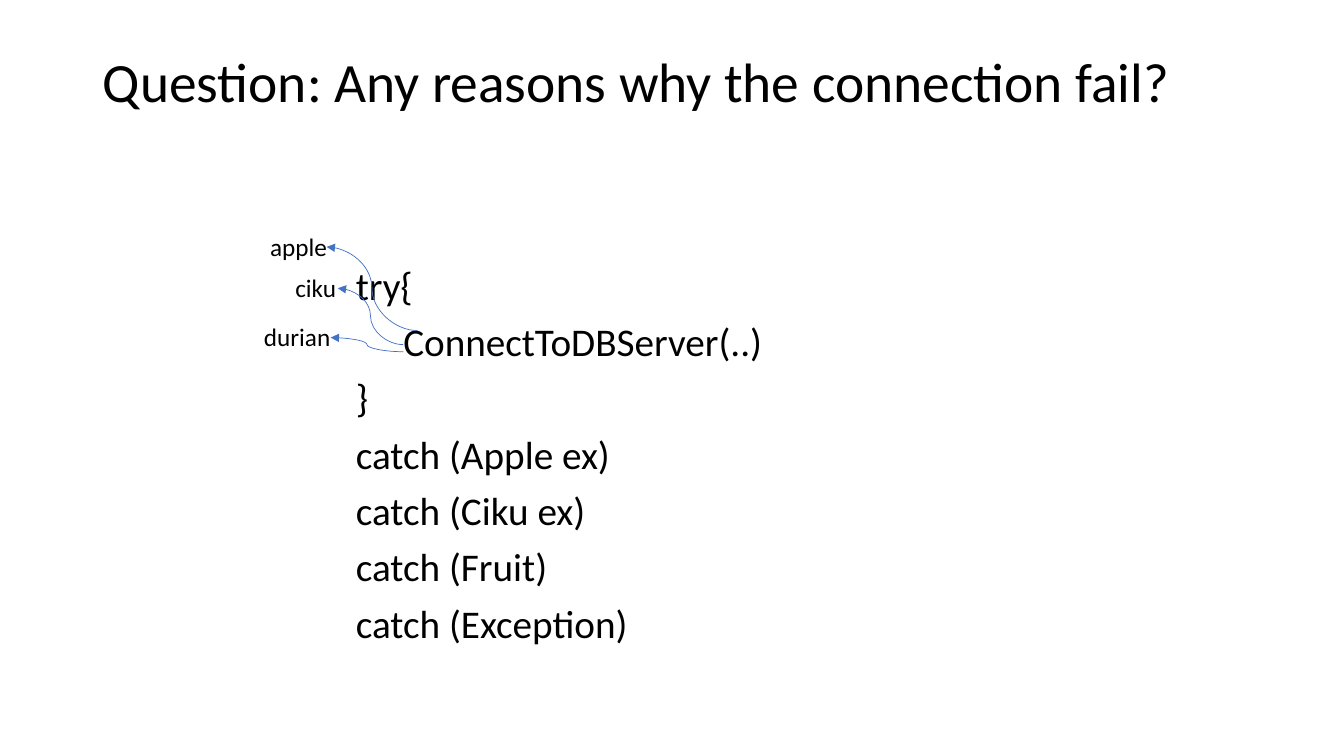
"""Build the slide that asks why a database connection may fail."""
from lxml.etree import SubElement
from pptx import Presentation
from pptx.dml.color import RGBColor
from pptx.enum.shapes import MSO_CONNECTOR
from pptx.enum.text import MSO_ANCHOR, MSO_AUTO_SIZE, PP_ALIGN
from pptx.oxml.ns import qn
from pptx.util import Inches, Pt

BLACK = RGBColor(0x00, 0x00, 0x00)
BLUE = RGBColor(0x44, 0x72, 0xC4)

CODE = [
    ("try{", 0),
    ("ConnectToDBServer(..)", 0.47),
    ("}", 0),
    ("catch (Apple ex)", 0),
    ("catch (Ciku ex)", 0),
    ("catch (Fruit)", 0),
    ("catch (Exception)", 0),
]
EXCEPTIONS = [
    ("apple", (2.58, 2.25, 0.77, 0.4), (4.14, 3.28), (3.24, 2.45)),
    ("ciku", (2.83, 2.65, 0.61, 0.4), (4, 3.42), (3.35, 2.86)),
    ("durian", (2.52, 3.14, 0.87, 0.4), (4, 3.49), (3.28, 3.35)),
]


class SlideBuilder:
    """Hold the style and the current slide."""

    font = "Calibri"
    color = BLACK

    def __init__(self, prs):
        """Add a title-only slide."""
        self.s = prs.slides.add_slide(prs.slide_layouts[5])

    def style_text(self, p, text, size, **formats):
        """Put styled text in a paragraph."""
        for name, value in formats.items():
            setattr(p, name, value)
        r = p.add_run()
        r.text = text
        for name, value in {"name": self.font, "size": Pt(size), "bold": False}.items():
            setattr(r.font, name, value)
        r.font.color.rgb = self.color

    def title(self, text, box, size):
        """Place and fill the title placeholder."""
        sp = self.s.shapes.title
        sp.left, sp.top, sp.width, sp.height = map(Inches, box)
        tf = sp.text_frame
        frame = {"word_wrap": True, "auto_size": MSO_AUTO_SIZE.NONE,
                 "vertical_anchor": MSO_ANCHOR.MIDDLE}
        for name, value in frame.items():
            setattr(tf, name, value)
        self.style_text(tf.paragraphs[0], text, size,
                        alignment=PP_ALIGN.LEFT, line_spacing=0.9)

    def code(self, lines, box, left, top, size):
        """Add the code listing, inset from the box corner."""
        tf = self.s.shapes.add_textbox(*map(Inches, box)).text_frame
        frame = {"word_wrap": True, "margin_left": Inches(left), "margin_top": Inches(top)}
        for name, value in frame.items():
            setattr(tf, name, value)
        for i, (text, indent) in enumerate(lines):
            p = tf.add_paragraph() if i else tf.paragraphs[0]
            p._p.get_or_add_pPr().set("marL", str(Inches(indent)))
            self.style_text(p, text, size, line_spacing=0.9, space_before=Pt(10))

    def label(self, text, box, size):
        """Add a one-line label."""
        tf = self.s.shapes.add_textbox(*map(Inches, box)).text_frame
        frame = {"word_wrap": False, "auto_size": MSO_AUTO_SIZE.SHAPE_TO_FIT_TEXT}
        for name, value in frame.items():
            setattr(tf, name, value)
        self.style_text(tf.paragraphs[0], text, size)

    def arrow(self, start, end):
        """Add a thin curved arrow."""
        c = self.s.shapes.add_connector(MSO_CONNECTOR.CURVE, *map(Inches, start + end))
        c.line.color.rgb = BLUE
        c.line.width = Pt(0.5)
        SubElement(c.line._get_or_add_ln(), qn("a:tailEnd"), type="triangle")
        SubElement(c._element.spPr, qn("a:effectLst"))


def main():
    """Build and save the slide."""
    prs = Presentation()
    prs.slide_width, prs.slide_height = Inches(13.33), Inches(7.5)
    slide = SlideBuilder(prs)
    slide.title("Question: Any reasons why the connection fail?", (0.92, 0.4, 11.5, 0.88), 39.6)
    slide.code(CODE, (0.92, 1.47, 11.5, 5.92), left=2.61, top=1.17, size=28)
    for name, box, start, end in EXCEPTIONS:
        slide.arrow(start, end)
        slide.label(name, box, 18)
    prs.save("out.pptx")


if __name__ == "__main__":
    main()
